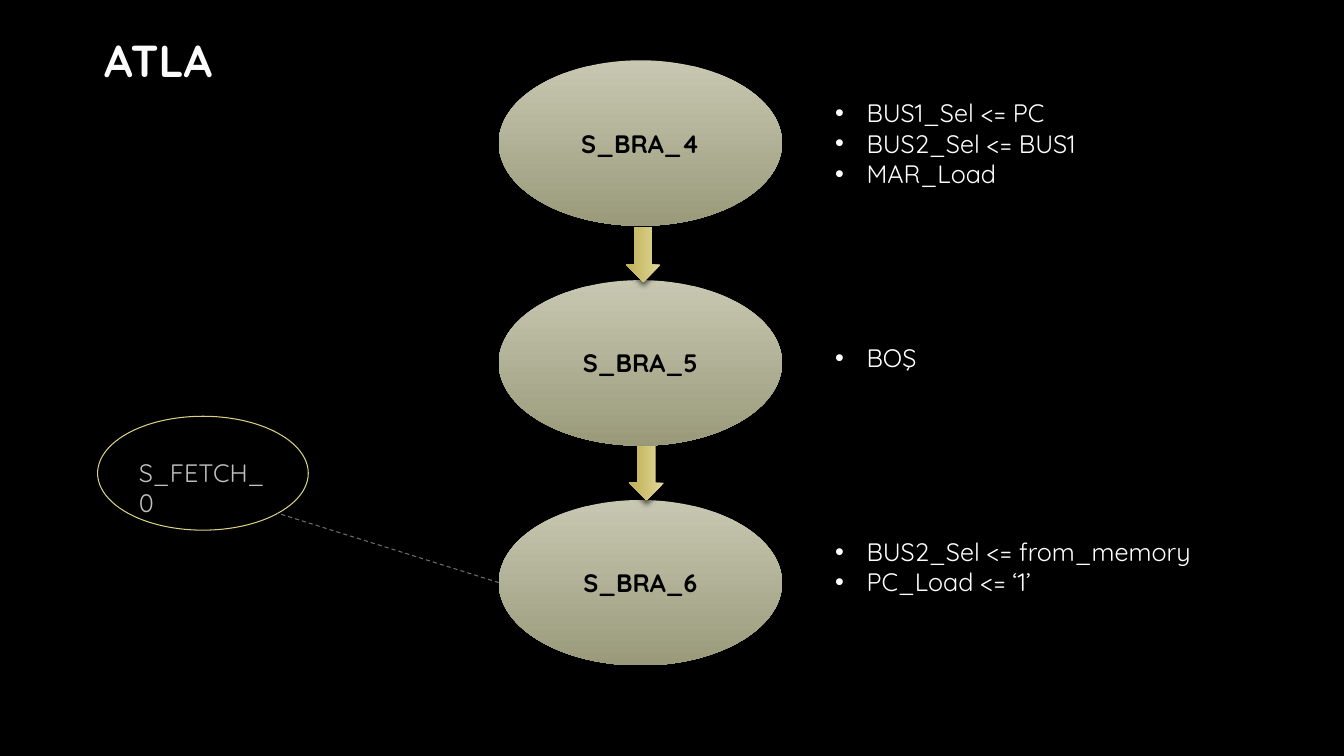
from lxml import etree
from pptx import Presentation
from pptx.dml.color import RGBColor
from pptx.enum.dml import MSO_LINE_DASH_STYLE as Dash
from pptx.enum.shapes import MSO_CONNECTOR as Connector, MSO_SHAPE as Shape
from pptx.enum.text import MSO_ANCHOR as Anchor, PP_ALIGN as Align
from pptx.oxml import parse_xml
from pptx.oxml.ns import nsdecls, qn
from pptx.util import Cm, Pt

COLORS = {
    "background": "000000", "state_top": "C8C8B2", "state_bottom": "9A9A7B",
    "arrow_top": "E1D797", "arrow_bottom": "BDAF55", "state_text": "000000",
    "title": "FBFBFB", "signal": "FFFFFF", "fetch_line": "DCD084",
    "fetch_text": "BFBFBF", "link": "6F6F6F",
}
RGB = {name: RGBColor.from_string(value) for name, value in COLORS.items()}
STATE_LEFT, STATE_TOP, STATE_WIDTH, STATE_HEIGHT = 12.57, 1.52, 7.14, 4.17
STATE_PITCH = 5.54


def write_lines(shape, lines, color, size=18, bold=False, align=Align.LEFT, bullet=False):
    frame = shape.text_frame
    frame.word_wrap = True
    frame.text = "\n".join(lines)
    for paragraph in frame.paragraphs:
        paragraph.alignment = align
        font_format = {"name": "Quicksand", "size": Pt(size), "bold": bold}
        font = paragraph.runs[0].font
        for key, value in font_format.items():
            setattr(font, key, value)
        font.color.rgb = RGB[color]
        if bullet:
            properties = paragraph._p.get_or_add_pPr()
            properties.set("marL", str(Cm(0.79)))
            properties.set("indent", str(-Cm(0.79)))
            etree.SubElement(properties, qn("a:buFont")).set("typeface", "Arial")
            etree.SubElement(properties, qn("a:buChar")).set("char", "•")


def add_shaded(kind, left, top, width, height, name):
    """Add a shape with a vertical two-colour gradient and a soft shadow below."""
    shape = slide.shapes.add_shape(kind, Cm(left), Cm(top), Cm(width), Cm(height))
    shape.line.fill.background()
    shape.fill.gradient()
    shape.fill.gradient_angle = 270
    for stop, position, end in zip(shape.fill.gradient_stops, (0, 1), ("top", "bottom")):
        stop.color.rgb = RGB[f"{name}_{end}"]
        stop.position = position
    shape._element.spPr.append(parse_xml(
        f'<a:effectLst {nsdecls("a")}><a:outerShdw blurRad="{Pt(4)}" dist="{Pt(3)}" '
        'dir="5400000" rotWithShape="0"><a:srgbClr val="000000"><a:alpha val="60000"/>'
        '</a:srgbClr></a:outerShdw></a:effectLst>'))
    return shape


presentation = Presentation()
presentation.slide_width, presentation.slide_height = Cm(33.87), Cm(19.05)
slide = presentation.slides.add_slide(presentation.slide_layouts[6])
slide.background.fill.solid()
slide.background.fill.fore_color.rgb = RGB["background"]

# States from top to bottom
for index, name in enumerate(("S_BRA_4", "S_BRA_5", "S_BRA_6")):
    state = add_shaded(Shape.OVAL, STATE_LEFT, STATE_TOP + index * STATE_PITCH,
                       STATE_WIDTH, STATE_HEIGHT, "state")
    state.text_frame.vertical_anchor = Anchor.MIDDLE
    write_lines(state, [name], "state_text", bold=True, align=Align.CENTER)

# Arrows between the states
for left, top in ((15.52, 5.98), (15.6, 11.48)):
    arrow = add_shaded(Shape.RIGHT_ARROW, left, top, 1.38, 0.88, "arrow")
    arrow.rotation = 90

title = slide.shapes.add_textbox(Cm(0), Cm(0.71), Cm(7.98), Cm(1.62))
write_lines(title, ["ATLA"], "title", size=32, bold=True, align=Align.CENTER)

# Signals set in each state
signals = [
    (2.34, 8.28, 2.57, ["BUS1_Sel <= PC", "BUS2_Sel <= BUS1", "MAR_Load"]),
    (8.51, 8.28, 1.02, ["BOŞ"]),
    (13.39, 10.19, 1.8, ["BUS2_Sel <= from_memory", "PC_Load <= ‘1’"]),
]
for top, width, height, lines in signals:
    box = slide.shapes.add_textbox(Cm(20.8), Cm(top), Cm(width), Cm(height))
    write_lines(box, lines, "signal", bullet=True)

# Return to the fetch state
fetch = slide.shapes.add_shape(Shape.OVAL, Cm(2.46), Cm(10.49), Cm(5.31), Cm(2.87))
fetch.shadow.inherit = False
fetch.fill.background()
fetch.line.color.rgb = RGB["fetch_line"]
fetch.line.width = Pt(0.75)
fetch_label = slide.shapes.add_textbox(Cm(3.25), Cm(11.4), Cm(3.71), Cm(1.02))
write_lines(fetch_label, ["S_FETCH_0"], "fetch_text")

link = slide.shapes.add_connector(Connector.STRAIGHT, Cm(STATE_LEFT), Cm(14.68),
                                  Cm(6.99), Cm(12.93))
link.line.color.rgb = RGB["link"]
for key, value in {"width": Pt(0.75), "dash_style": Dash.DASH}.items():
    setattr(link.line, key, value)
etree.SubElement(link._element.spPr, qn("a:effectLst"))

presentation.save("out.pptx")
